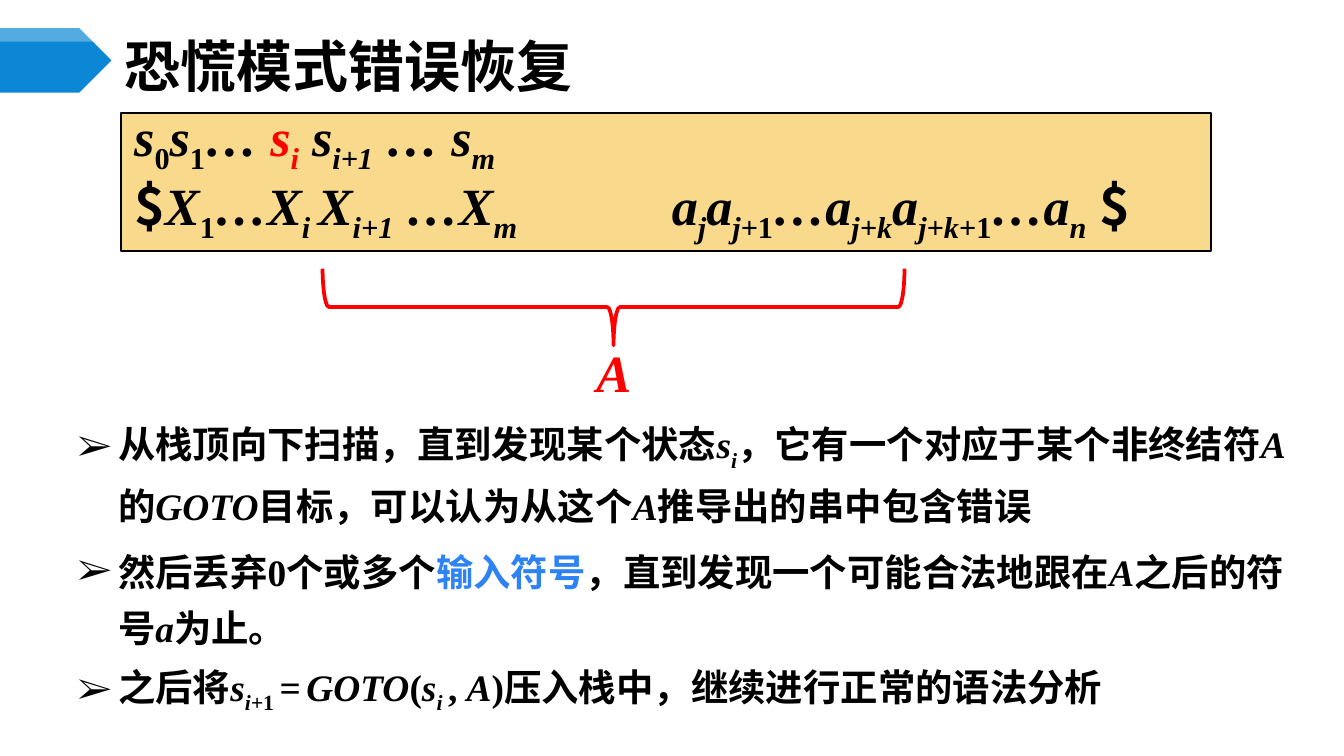
from lxml.etree import SubElement
from pptx import Presentation
from pptx.dml.color import RGBColor
from pptx.enum.shapes import MSO_SHAPE
from pptx.enum.text import MSO_ANCHOR, PP_ALIGN
from pptx.oxml.ns import qn
from pptx.util import Pt

PX = 9144
BLACK = RGBColor(0, 0, 0)
WHITE = RGBColor(255, 255, 255)
RED = RGBColor(255, 0, 0)
BLUE = RGBColor(0x0B, 0x87, 0xD6)
LINK = RGBColor(0x2D, 0x83, 0xF4)
GOLD = RGBColor(0xF9, 0xD9, 0x8C)
SERIF = "Times New Roman"
SANS = "Noto Sans CJK SC"

STATES = [("s", "i"), ("0", "_"), ("s", "i"), ("1", "_"), ("… ", "i"),
          ("s", "ir"), ("i", "i_r"), (" s", "i"), ("i+1", "i_"),
          (" … s", "i"), ("m", "i_")]
INPUT = [("$", "s"), ("X", "i"), ("1", "_"), ("…X", "i"), ("i ", "i_"),
         ("X", "i"), ("i+1", "i_"), (" …X", "i"), ("m", "i_"), ("\t\t", ""),
         ("a", "i"), ("j", "i_"), ("a", "i"), ("j+", "i_"), ("1", "_"),
         ("…a", "i"), ("j+k", "i_"), ("a", "i"), ("j+k+", "i_"), ("1", "_"),
         ("…a", "i"), ("n", "i_"), (" ", "i"), ("$", "s")]
STEPS = [
    [("从栈顶向下扫描，直到发现某个状态", ""), ("s", "i"), ("i", "i_"),
     ("，它有一个对应于某个非终结符", ""), ("A", "i"), ("的", ""),
     ("GOTO", "i"), ("目标，可以认为从这个", ""), ("A", "i"),
     ("推导出的串中包含错误", "")],
    [("然后丢弃0个或多个", ""), ("输入符号", "b"),
     ("，直到发现一个可能合法地跟在", ""), ("A", "i"), ("之后的符号", ""),
     ("a", "i"), ("为止。", "")],
    [("之后将", ""), ("s", "i"), ("i+", "i_"), ("1 ", "_"), ("=", ""),
     (" ", "_"), ("GOTO", "i"), ("(", ""), ("s", "i"), ("i ", "i_"),
     (", ", ""), ("A", "i"), (")压入栈中，继续进行正常的语法分析", "")],
]


def add_run(para, text, flags, size):
    """Add a bold run; flags: i italic, _ subscript, r red, b blue, s sans."""
    run = para.add_run()
    run.text = text
    font = run.font
    font.size, font.bold, font.italic = Pt(size), True, "i" in flags
    font.name = SANS if "s" in flags else SERIF
    font.color.rgb = RED if "r" in flags else LINK if "b" in flags else BLACK
    props = font._element
    SubElement(props, qn("a:ea"), typeface=SANS)
    if "_" in flags:
        props.set("baseline", "-25000")


def fill_text(shape, lines, size, lead=None, gap=0, wrap=True):
    """Write lines of runs into a shape and return its paragraphs."""
    frame = shape.text_frame
    frame.word_wrap = wrap
    frame.vertical_anchor = MSO_ANCHOR.TOP
    for num, line in enumerate(lines):
        para = frame.add_paragraph() if num else frame.paragraphs[0]
        para.alignment = PP_ALIGN.LEFT
        para.space_before = Pt(gap)
        if lead:
            para.line_spacing = Pt(lead)
        for text, flags in line:
            add_run(para, text, flags, size)
    return frame.paragraphs


def add_text(slide, box, lines, size, **style):
    """Add a text box and return it with its paragraphs."""
    shape = slide.shapes.add_textbox(*(n * PX for n in box))
    return shape, fill_text(shape, lines, size, **style)


def add_bullet(para):
    """Give a paragraph a hanging arrow bullet."""
    props = para._p.get_or_add_pPr()
    props.set("marL", str(30 * PX))
    props.set("indent", str(-30 * PX))
    color = SubElement(props, qn("a:buClr"))
    SubElement(color, qn("a:srgbClr"), val=str(BLACK))
    SubElement(props, qn("a:buFont"), typeface=SERIF)
    SubElement(props, qn("a:buChar"), char="➢")


def add_tabs(para, *places):
    """Set left tab stops."""
    stops = SubElement(para._p.get_or_add_pPr(), qn("a:tabLst"))
    for pos in places:
        SubElement(stops, qn("a:tab"), pos=str(pos * PX), algn="l")


def add_shape(slide, kind, box):
    """Add a preset shape without shadow."""
    shape = slide.shapes.add_shape(kind, *(n * PX for n in box))
    shape.shadow.inherit = False
    return shape


def add_flag(slide, points, color, alpha=100):
    """Add a borderless polygon, see-through if asked."""
    pen = slide.shapes.build_freeform(*points[0], scale=PX)
    pen.add_line_segments(points[1:])
    shape = pen.convert_to_shape()
    shape.shadow.inherit = False
    shape.fill.solid()
    shape.fill.fore_color.rgb = color
    shape.line.fill.background()
    if alpha < 100:
        tone = shape._element.spPr.find(qn("a:solidFill"))[0]
        SubElement(tone, qn("a:alpha"), val=str(alpha * 1000))


def add_stack(slide):
    """Add the gold box with the stack and the input."""
    box = add_shape(slide, MSO_SHAPE.RECTANGLE, (90, 84, 811, 103))
    box.fill.solid()
    box.fill.fore_color.rgb = GOLD
    box.line.color.rgb = BLACK
    box.line.width = Pt(1)
    _, low = fill_text(box, [STATES, INPUT], 28, lead=30)
    low.space_before = Pt(7)
    add_tabs(low, 300, 400)


def add_brace(slide):
    """Add the red brace and its label."""
    brace = add_shape(slide, MSO_SHAPE.RIGHT_BRACE, (428, 12, 57, 433))
    brace.rotation = 90
    brace.fill.background()
    brace.line.color.rgb = RED
    brace.line.width = Pt(2)
    add_text(slide, (434, 248, 46, 57), [[("A", "ir")]], 28, wrap=False)


def main():
    """Build and save the slide."""
    deck = Presentation()
    deck.slide_width = 1000 * PX
    deck.slide_height = deck.slide_width * 9 // 16
    slide = deck.slides.add_slide(deck.slide_layouts[6])
    add_flag(slide, [(0, 21), (59, 21), (83, 45), (59, 69), (0, 69)], BLUE)
    add_flag(slide, [(0, 21), (78, 21), (83, 26), (78, 31), (0, 31)], WHITE, 30)
    title, _ = add_text(slide, (83, 29, 867, 39),
                        [[("恐慌模式错误恢复", "s")]], 30)
    title.text_frame.vertical_anchor = MSO_ANCHOR.MIDDLE
    _, steps = add_text(slide, (48, 305, 938, 232), STEPS, 20, lead=30, gap=5)
    for para in steps:
        add_bullet(para)
    add_stack(slide)
    add_brace(slide)
    deck.save("out.pptx")


if __name__ == "__main__":
    main()
